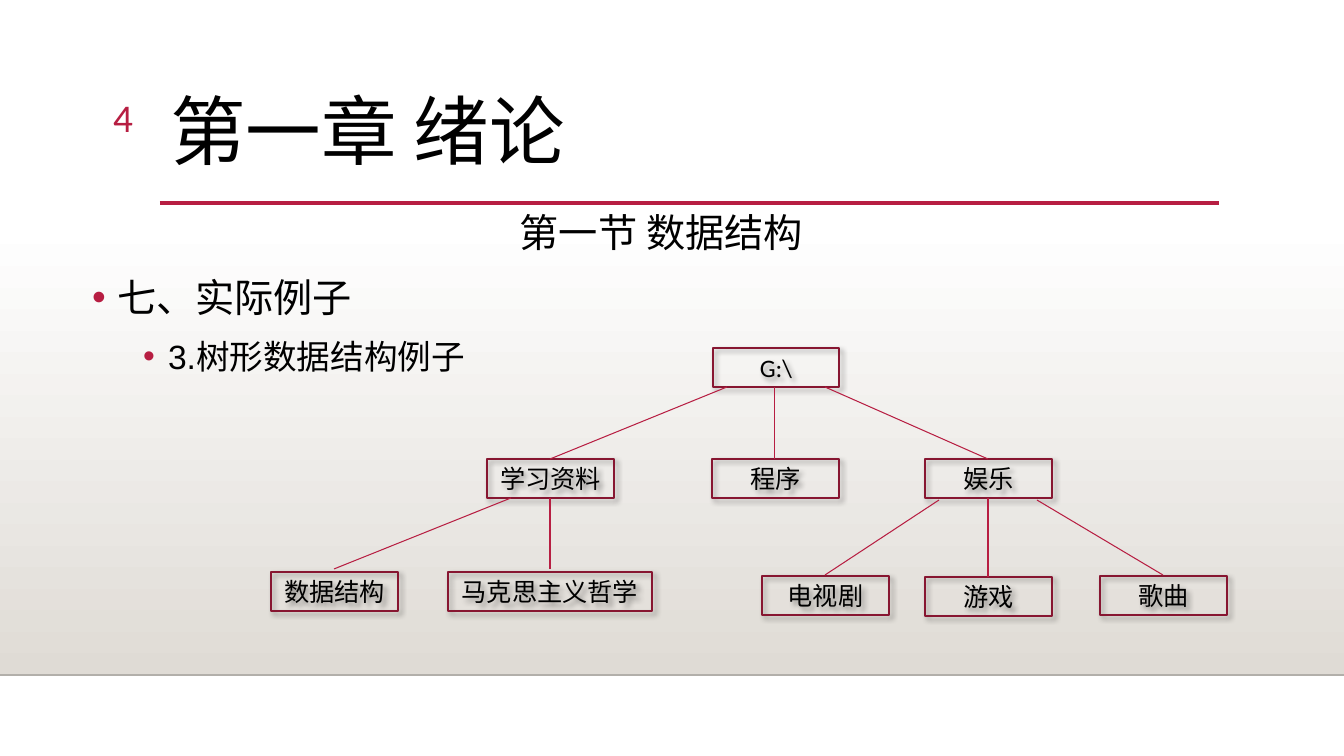
from lxml import etree
from pptx import Presentation
from pptx.dml.color import RGBColor
from pptx.enum.shapes import MSO_CONNECTOR, MSO_SHAPE
from pptx.enum.text import MSO_ANCHOR, MSO_AUTO_SIZE, PP_ALIGN
from pptx.oxml import parse_xml
from pptx.oxml.ns import nsdecls, qn
from pptx.util import Pt

PX = 9071.43  # EMU in one px, 100.8 px to the inch
LEFT, RIGHT, MID = PP_ALIGN.LEFT, PP_ALIGN.RIGHT, PP_ALIGN.CENTER
TOP, CENTRE = MSO_ANCHOR.TOP, MSO_ANCHOR.MIDDLE
RECT, LINE = MSO_SHAPE.RECTANGLE, MSO_CONNECTOR.STRAIGHT
BLACK = RGBColor(0x00, 0x00, 0x00)
WHITE = RGBColor(0xFF, 0xFF, 0xFF)
RED = RGBColor(0xB7, 0x1E, 0x42)
WINE = RGBColor(0x87, 0x16, 0x31)
SAND = RGBColor(0xDF, 0xDB, 0xD5)
GREY = RGBColor(0xB2, 0xAF, 0xAA)
SHADOW = (f'<a:effectLst {nsdecls("a")}><a:outerShdw blurRad="50800" dist="38100" '
          'dir="2700000" algn="tl" rotWithShape="0"><a:srgbClr val="000000">'
          '<a:alpha val="40000"/></a:srgbClr></a:outerShdw></a:effectLst>')


def px(*nums):
    return [round(n * PX) for n in nums]


def write(text, par, size=28, font="Calibri", color=BLACK, align=LEFT, space=1.0):
    par.alignment, par.line_spacing = align, space
    run = par.add_run()
    run.text = text
    run.font.size, run.font.name = Pt(size), font
    run.font.color.rgb = color
    east = etree.SubElement(run.font._element, qn("a:ea"))
    east.set("typeface", font)


deck = Presentation()
deck.slide_width, deck.slide_height = px(1344, 756)
slide = deck.slides.add_slide(deck.slide_layouts[1])
shapes = slide.shapes
title, body = shapes.title, slide.placeholders[1]

# Shaded band behind everything
band = shapes.add_shape(RECT, *px(0, 223, 1344, 452))
band.shadow.inherit = False
band.line.fill.background()
band.fill.gradient()
band.fill.gradient_angle = 270
for stop, color in zip(band.fill.gradient_stops, (WHITE, SAND)):
    stop.color.rgb = color
shapes._spTree.insert(2, band._element)

# Title, list, section name and page number
section = shapes.add_textbox(*px(510, 203, 359, 57))
page = shapes.add_textbox(*px(53, 88, 90, 55))
title.left, title.top, title.width, title.height = px(160, 89, 1058, 116)
body.left, body.top, body.width, body.height = px(82, 259, 1155, 228)
for box in (title, body, section, page):
    frame = box.text_frame
    frame.word_wrap, frame.auto_size = True, MSO_AUTO_SIZE.NONE
    frame.vertical_anchor = TOP

write("第一章 绪论", title.text_frame.paragraphs[0], size=54, space=0.9)
write("第一节 数据结构", section.text_frame.paragraphs[0])
write("4", page.text_frame.paragraphs[0], color=RED, align=RIGHT)

first = body.text_frame.paragraphs[0]
second = body.text_frame.add_paragraph()
second.level = 1
for par, indent, before in ((first, 25, 0), (second, 76, 5)):
    props = par._p.get_or_add_pPr()
    props.set("marL", str(px(indent)[0]))
    props.set("indent", str(px(-25)[0]))
    props.append(parse_xml(f'<a:buClr {nsdecls("a")}><a:srgbClr val="{RED}"/></a:buClr>'))
    props.append(parse_xml(f'<a:buFont {nsdecls("a")} typeface="Arial"/>'))
    props.append(parse_xml(f'<a:buChar {nsdecls("a")} char="•"/>'))
    par.space_before = Pt(before)
write("七、实际例子", first, space=1.2)
write("3.", second, size=24, font="Arial", space=1.2)
write("树形数据结构例子", second, size=24, space=1.2)

# Tree: text, left, top, width, then branch start x, start y and end y
nodes = [
    ("G:\\", 713, 348, 126, None),
    ("学习资料", 487, 459, 127, (727, 387, 459)),
    ("程序", 712, 459, 127, (775, 387, 459)),
    ("娱乐", 925, 459, 127, (825, 387, 459)),
    ("数据结构", 271, 572, 127, (511, 498, 569)),
    ("马克思主义哲学", 448, 572, 204, (550, 498, 569)),
    ("电视剧", 762, 576, 127, (939, 500, 575)),
    ("游戏", 925, 577, 127, (988, 498, 577)),
    ("歌曲", 1100, 576, 127, (1037, 500, 575)),
]
lines = [(0, 675, 1344, 675, GREY, 1), (160, 203, 1219, 203, RED, 2.5)]
for text, left, top, width, branch in nodes:
    node = shapes.add_shape(RECT, *px(left, top, width, 39))
    node.fill.background()
    node.line.color.rgb, node.line.width = WINE, Pt(1.25)
    node._element.spPr.append(parse_xml(SHADOW))
    node.text_frame.vertical_anchor = CENTRE
    write(text, node.text_frame.paragraphs[0], size=18, align=MID)
    if branch:
        x, y, end = branch
        lines.append((x, y, left + width // 2, end, RED, 0.75))

# Rules and branches
for x1, y1, x2, y2, color, weight in lines:
    line = shapes.add_connector(LINE, *px(x1, y1, x2, y2))
    line.line.color.rgb, line.line.width = color, Pt(weight)
    etree.SubElement(line._element.spPr, qn("a:effectLst"))

deck.save("out.pptx")
